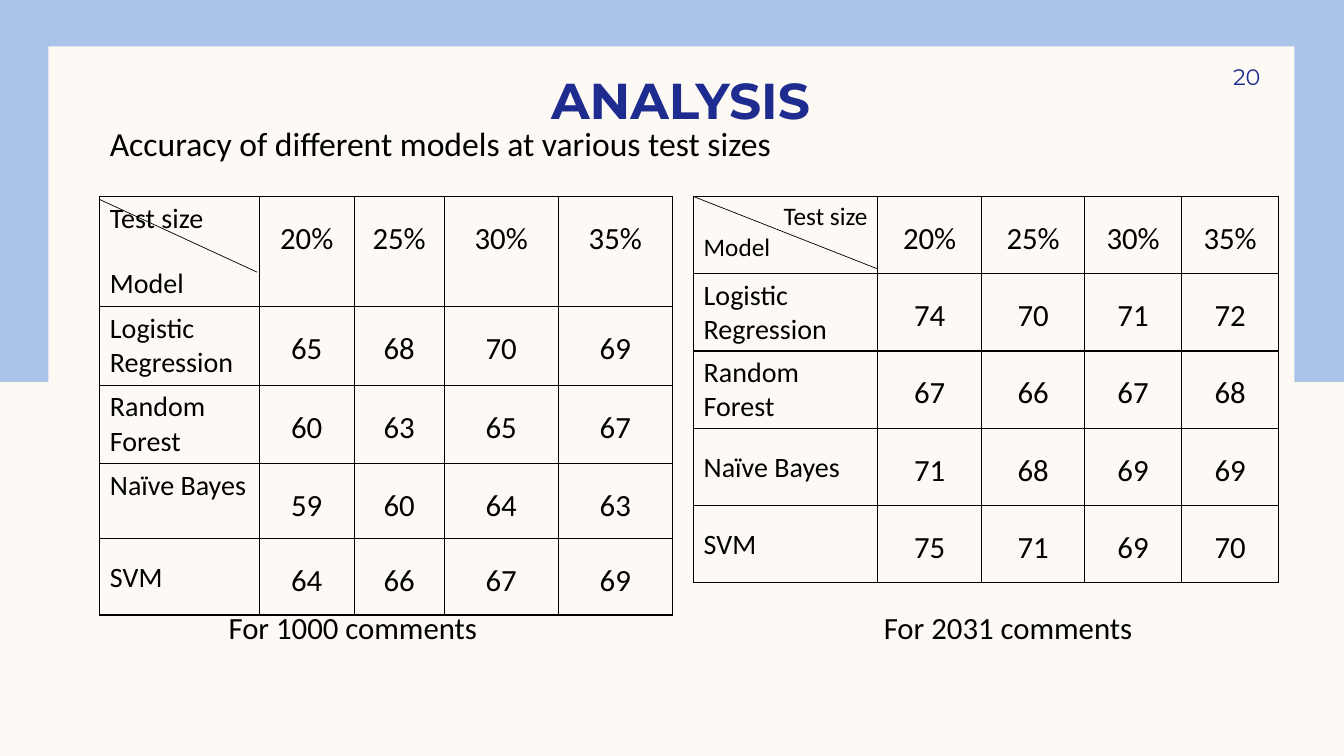
import pptx
import pptx.util
import pptx.dml.color
import pptx.enum.shapes
import pptx.enum.text
import pptx.oxml
import pptx.oxml.ns

hue = pptx.dml.color.RGBColor.from_string
Align = pptx.enum.text.PP_ALIGN
Anchor = pptx.enum.text.MSO_ANCHOR
CREAM, SKY, NAVY, BLACK = "FDFAF6", "AAC3E8", "1F2C8F", "000000"

deck = pptx.Presentation()
deck.slide_width = pptx.util.Inches(13.33)
deck.slide_height = pptx.util.Inches(7.5)


def span(left, top, width, height):
    wide, high = deck.slide_width / 100, deck.slide_height / 100
    return [round(part) for part in (left * wide, top * high, width * wide, height * high)]


def style(para, size, align=Align.LEFT, face="Calibri", color=BLACK, bold=False):
    para.alignment = align
    for run in para.runs:
        run.font.size = pptx.util.Pt(size)
        run.font.name = face
        run.font.bold = bold
        run.font.color.rgb = hue(color)


slide = deck.slides.add_slide(deck.slide_layouts[5])
slide.background.fill.solid()
slide.background.fill.fore_color.rgb = hue(CREAM)

title = slide.shapes.title
title.left, title.top, title.width, title.height = span(7.5, 6.67, 86.27, 10.53)
frame = title.text_frame
frame.text = "ANALYSIS"
frame.vertical_anchor = Anchor.BOTTOM
frame.margin_top = frame.margin_bottom = 0
style(frame.paragraphs[0], 36, Align.CENTER, "Montserrat", NAVY, True)

for area, color in [((0, 0, 100, 50.53), SKY), ((3.6, 6.13, 92.72, 87.87), CREAM)]:
    panel = slide.shapes.add_shape(pptx.enum.shapes.MSO_SHAPE.RECTANGLE, *span(*area))
    panel.shadow.inherit = False
    panel.fill.solid()
    panel.fill.fore_color.rgb = hue(color)
    panel.line.fill.background()
    title.element.addprevious(panel.element)

notes = [
    ("20", (85, 6.67, 8.78, 6.93), 16, Align.RIGHT, "Montserrat", NAVY),
    ("Accuracy of different models at various test sizes", (7.43, 15.6, 80.8, 6.67), 24, Align.LEFT, "Calibri", BLACK),
    ("For 1000 comments", (6.75, 79.87, 39, 6.27), 22, Align.CENTER, "Calibri", BLACK),
    ("For 2031 comments", (55.5, 79.87, 39, 6.27), 22, Align.CENTER, "Calibri", BLACK),
]
for text, area, size, align, face, color in notes:
    frame = slide.shapes.add_textbox(*span(*area)).text_frame
    frame.word_wrap = True
    frame.text = text
    style(frame.paragraphs[0], size, align, face, color)
    if text == "20":
        frame.vertical_anchor = Anchor.MIDDLE
        frame.margin_right = 0

sizes = ["20%", "25%", "30%", "35%"]
models = ["Logistic Regression", "Random Forest", "Naïve Bayes", "SVM"]
grids = [
    {
        "left": 7.43,
        "cols": [11.87, 7.05, 6.7, 8.49, 8.49],
        "rows": [14.55, 10.4, 10.4, 9.9, 10.1],
        "data": [[65, 68, 70, 69], [60, 63, 65, 67], [59, 60, 64, 63], [64, 66, 67, 69]],
        "head": (20, Align.LEFT, 22),
        "loose": ["SVM"],
        "slash": (7.43, 26.4, 11.7, 9.6),
    },
    {
        "left": 51.61,
        "cols": [13.69, 7.74, 7.66, 7.22, 7.22],
        "rows": [10.19] * 5,
        "data": [[74, 70, 71, 72], [67, 66, 67, 68], [71, 68, 69, 69], [75, 71, 69, 70]],
        "head": (18, Align.RIGHT, 0),
        "loose": ["Naïve Bayes", "SVM"],
        "slash": (51.61, 26, 13.73, 9.6),
    },
]
for grid in grids:
    area = span(grid["left"], 26, sum(grid["cols"]), sum(grid["rows"]))
    table = slide.shapes.add_table(5, 5, *area).table
    table.first_row = table.horz_banding = False
    for col, share in zip(table.columns, grid["cols"]):
        col.width = span(0, 0, share, 0)[2]
    for row, share in zip(table.rows, grid["rows"]):
        row.height = span(0, 0, 0, share)[3]

    lines = [["Test size\nModel"] + sizes]
    lines += [[model] + marks for model, marks in zip(models, grid["data"])]
    for r, line in enumerate(lines):
        for c, value in enumerate(line):
            cell = table.cell(r, c)
            cell.text_frame.text = str(value)
            para = cell.text_frame.paragraphs[0]
            if c:
                style(para, 22, Align.CENTER)
            elif r:
                style(para, 20)
            else:
                size, align, gap = grid["head"]
                style(para, size, align)
                model = cell.text_frame.paragraphs[1]
                style(model, size)
                model.space_before = pptx.util.Pt(gap)
            if c or value in grid["loose"]:
                para.line_spacing = 1.5
            props = cell._tc.get_or_add_tcPr()
            for side in ("lnL", "lnR", "lnT", "lnB"):
                props.append(pptx.oxml.parse_xml(
                    f'<a:{side} {pptx.oxml.ns.nsdecls("a")} w="12700"><a:solidFill>'
                    f'<a:srgbClr val="{BLACK}"/></a:solidFill></a:{side}>'))
            cell.fill.background()

    left, top, width, height = span(*grid["slash"])
    slash = slide.shapes.add_connector(
        pptx.enum.shapes.MSO_CONNECTOR.STRAIGHT, left, top, left + width, top + height)
    slash.line.color.rgb = hue(BLACK)
    slash.line.width = pptx.util.Pt(0.5)
    slash.element.spPr.append(pptx.oxml.parse_xml(f'<a:effectLst {pptx.oxml.ns.nsdecls("a")}/>'))

deck.save("out.pptx")
